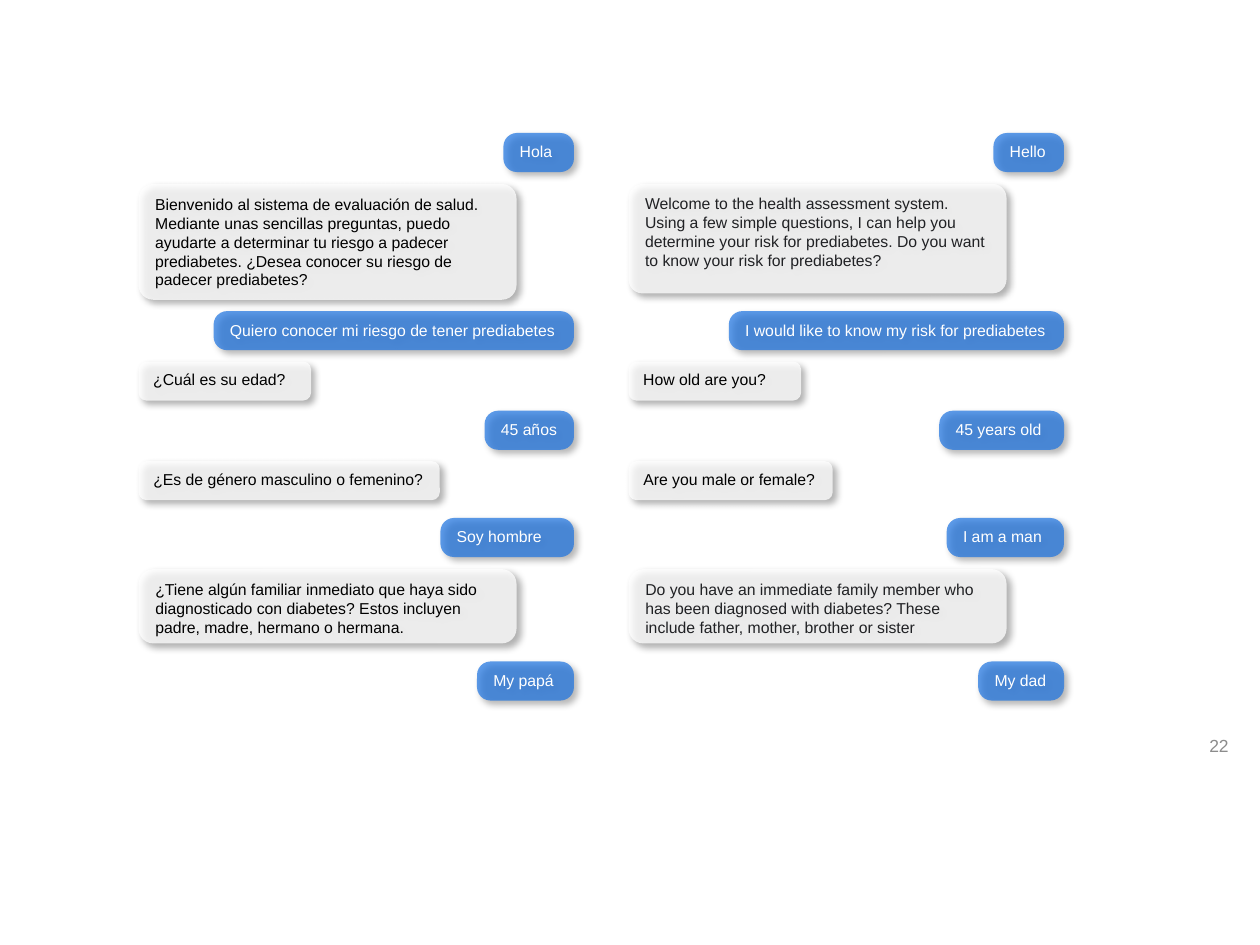
from pptx import Presentation
from pptx.dml.color import RGBColor
from pptx.enum.shapes import MSO_SHAPE
from pptx.enum.text import MSO_ANCHOR, PP_ALIGN
from pptx.oxml import parse_xml
from pptx.oxml.ns import nsdecls, qn
from pptx.util import Pt

ROUNDED = MSO_SHAPE.ROUNDED_RECTANGLE
TOP, MIDDLE = MSO_ANCHOR.TOP, MSO_ANCHOR.MIDDLE
LEFT, RIGHT = PP_ALIGN.LEFT, PP_ALIGN.RIGHT

FONT = "Arial"
BLACK, INK, WHITE, BLUE, GREY = "000000", "202124", "FFFFFF", "1C73E1", "8C8C8C"
COLUMN_LEFTS = (79.2, 359.2)
COLUMN_WIDTH = 248.8
LINE_HEIGHT = 22.3
ROW_TOPS = (76, 105.1, 177.8, 206.6, 234.7, 263.5, 296, 325.2, 378)
LONG_ROWS = (1, 7)

# Each message: text, bubble width, bubble height
SPANISH = (
    ("Hola", 40.3, LINE_HEIGHT),
    ("Bienvenido al sistema de evaluación de salud. Mediante unas sencillas "
     "preguntas, puedo ayudarte a determinar tu riesgo a padecer prediabetes. "
     "¿Desea conocer su riesgo de padecer prediabetes?", 216, 66.2),
    ("Quiero conocer mi riesgo de tener prediabetes", 205.9, LINE_HEIGHT),
    ("¿Cuál es su edad?", 98.6, LINE_HEIGHT),
    ("45 años", 51.1, LINE_HEIGHT),
    ("¿Es de género masculino o femenino?", 172.1, LINE_HEIGHT),
    ("Soy hombre", 76.3, LINE_HEIGHT),
    ("¿Tiene algún familiar inmediato que haya sido diagnosticado con diabetes? "
     "Estos incluyen padre, madre, hermano o hermana.", 216, 42.5),
    ("My papá", 55.4, LINE_HEIGHT),
)
ENGLISH = (
    ("Hello", 40.3, LINE_HEIGHT),
    ("Welcome to the health assessment system. Using a few simple questions, "
     "I can help you determine your risk for prediabetes. Do you want to know "
     "your risk for prediabetes?", 216, 62.6),
    ("I would like to know my risk for prediabetes", 191.5, LINE_HEIGHT),
    ("How old are you?", 98.6, LINE_HEIGHT),
    ("45 years old", 71.3, LINE_HEIGHT),
    ("Are you male or female?", 116.6, LINE_HEIGHT),
    ("I am a man", 67, LINE_HEIGHT),
    ("Do you have an immediate family member who has been diagnosed with "
     "diabetes? These include father, mother, brother or sister", 216, 42.5),
    ("My dad", 49, LINE_HEIGHT),
)


def rgb(value):
    """Turn a hex string into a colour."""
    return RGBColor.from_string(value)


def set_fill(shape, color, opacity):
    """Fill a shape with a partly transparent colour."""
    shape.fill.solid()
    shape.fill.fore_color.rgb = rgb(color)
    tint = shape.fill._xPr.find(qn("a:solidFill"))[0]
    tint.append(parse_xml(f'<a:alpha {nsdecls("a")} val="{opacity * 1000}"/>'))


def add_shadow(shape):
    """Give a shape a soft shadow to the lower right."""
    shape.shadow.inherit = False
    effects = shape._element.spPr.find(qn("a:effectLst"))
    effects.append(parse_xml(
        f'<a:outerShdw {nsdecls("a")} blurRad="{Pt(4)}" dist="{Pt(3)}" '
        'dir="2700000" algn="tl" rotWithShape="0">'
        '<a:srgbClr val="000000"><a:alpha val="40000"/></a:srgbClr></a:outerShdw>'))


def write(shape, text, size, color, align, anchor):
    """Put one paragraph of text into a shape."""
    frame = shape.text_frame
    frame.word_wrap = True
    frame.vertical_anchor = anchor
    para = frame.paragraphs[0]
    para.text = text
    para.alignment = align
    para.font.name = FONT
    para.font.size = Pt(size)
    para.font.color.rgb = rgb(color)


def add_bubble(group, text, left, top, width, height, corner, is_user, ink):
    """Add one chat bubble, blue for the user and pale for the system."""
    bubble = group.shapes.add_shape(ROUNDED, Pt(left), Pt(top), Pt(width), Pt(height))
    bubble.adjustments[0] = corner
    set_fill(bubble, BLUE if is_user else WHITE, 71 if is_user else 76)
    bubble.line.fill.background()
    add_shadow(bubble)
    write(bubble, text, 9, ink, LEFT, TOP)
    if height == LINE_HEIGHT:
        bubble.text_frame.margin_right = 0
    if is_user:
        bubble.text_frame.margin_top = bubble.text_frame.margin_bottom = Pt(3)


def add_conversation(page, messages, column_left, long_ink):
    """Stack a conversation with the user's bubbles flush right."""
    group = page.shapes.add_group_shape()
    for row, (text, width, height) in enumerate(messages):
        is_user = row % 2 == 0
        left = column_left + (COLUMN_WIDTH - width if is_user else 0)
        corner = 0.345 if is_user else 0.127 if row == 1 else 0.2
        ink = WHITE if is_user else long_ink if row in LONG_ROWS else BLACK
        add_bubble(group, text, left, ROW_TOPS[row], width, height, corner, is_user, ink)


def add_page_number(page, number):
    """Add the page number at the right edge."""
    box = page.shapes.add_textbox(Pt(541.4), Pt(411.8), Pt(167.8), Pt(28.8))
    write(box, number, 10, GREY, RIGHT, MIDDLE)


def main():
    """Build the slide and save it."""
    deck = Presentation()
    deck.slide_width, deck.slide_height = Pt(720), Pt(540)
    page = deck.slides.add_slide(deck.slide_layouts[6])
    add_page_number(page, "22")
    add_conversation(page, SPANISH, COLUMN_LEFTS[0], BLACK)
    add_conversation(page, ENGLISH, COLUMN_LEFTS[1], INK)
    deck.save("out.pptx")


if __name__ == "__main__":
    main()
